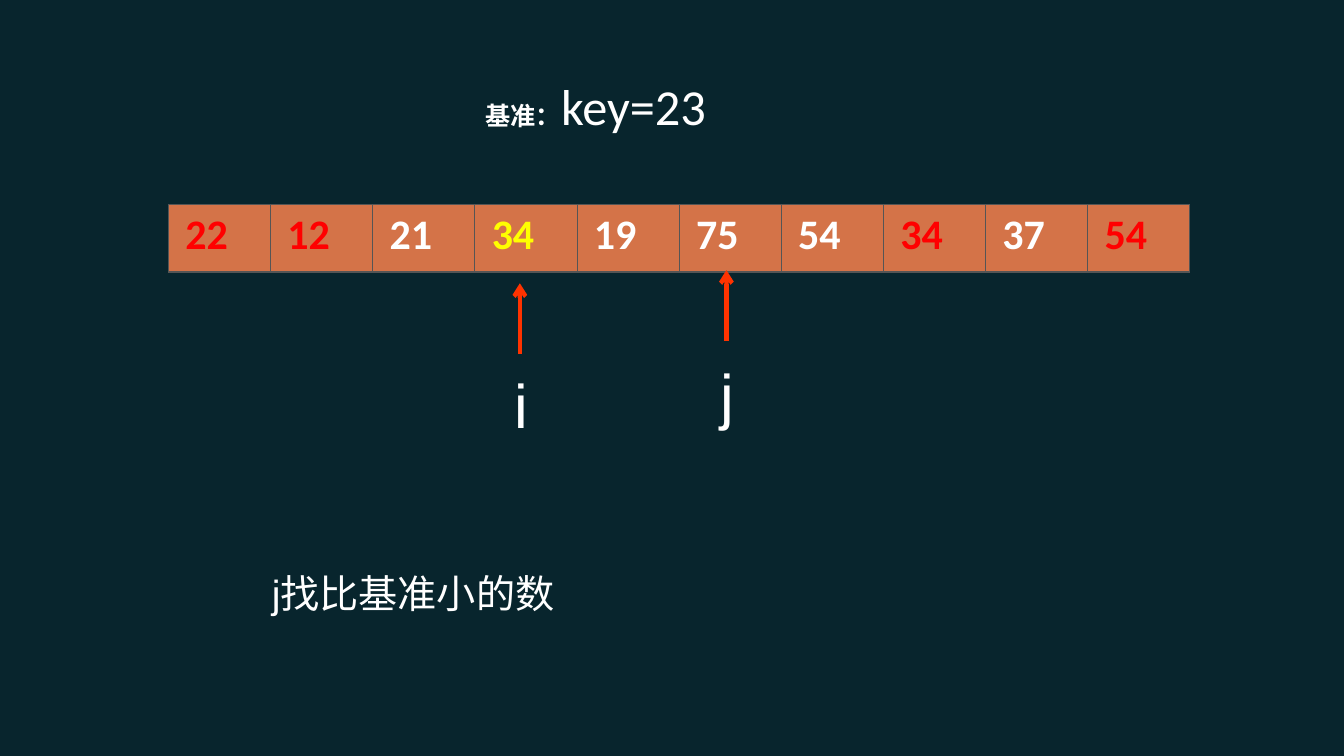
from dataclasses import dataclass

from lxml import etree
from pptx import Presentation
from pptx.dml.color import RGBColor
from pptx.enum.shapes import MSO_CONNECTOR
from pptx.enum.text import MSO_ANCHOR, MSO_AUTO_SIZE, PP_ALIGN
from pptx.oxml.ns import qn
from pptx.util import Inches, Pt

STRAIGHT = MSO_CONNECTOR.STRAIGHT
TOP = MSO_ANCHOR.TOP
LEFT = PP_ALIGN.LEFT
NO_AUTOFIT = MSO_AUTO_SIZE.NONE

NAVY = RGBColor(0x08, 0x25, 0x2D)
ORANGE = RGBColor(0xD4, 0x73, 0x48)
GRAY = RGBColor(0x55, 0x55, 0x55)
RED = RGBColor(0xFF, 0x00, 0x00)
ARROW_RED = RGBColor(0xFF, 0x33, 0x00)
YELLOW = RGBColor(0xFF, 0xFF, 0x00)
WHITE = RGBColor(0xFF, 0xFF, 0xFF)

LATIN = "Calibri"
SANS = "Arial"
CHINESE = "Noto Sans CJK SC"

SLIDE_WIDTH = Inches(13.34)
SLIDE_HEIGHT = Inches(7.5)
GRID = 100
ARROW_ROWS = 9.33
LABEL_COLUMNS = 2.32
LABEL_ROWS = 11.2
BORDERS = {"a:lnL": 0.45, "a:lnR": 0.45, "a:lnT": 0.45, "a:lnB": 1.47}


@dataclass(frozen=True)
class Area:
    """A rectangle in grid columns and rows."""
    column: float
    row: float
    columns: float
    rows: float

    def lengths(self) -> tuple[int, int, int, int]:
        """Return left, top, width and height."""
        return (across(self.column), down(self.row),
                across(self.columns), down(self.rows))


@dataclass(frozen=True)
class Item:
    """One number of the array and its colour."""
    value: int
    color: RGBColor


@dataclass(frozen=True)
class Pointer:
    """An index name with the arrow above it."""
    name: str
    column: float
    tip_row: float
    label_row: float


HEADING_AREA = Area(35.38, 9.33, 27.36, 9.33)
ARRAY_AREA = Area(12.52, 27.07, 76.01, 8.93)
NOTE_AREA = Area(19.49, 74.67, 24.59, 7.6)
ITEMS = [
    Item(22, RED), Item(12, RED), Item(21, WHITE), Item(34, YELLOW),
    Item(19, WHITE), Item(75, WHITE), Item(54, WHITE), Item(34, RED),
    Item(37, WHITE), Item(54, RED),
]
POINTERS = [Pointer("i", 38.68, 37.47, 47.87), Pointer("j", 54.05, 35.73, 46.53)]


def across(columns: float) -> int:
    """Convert grid columns to a length."""
    return round(SLIDE_WIDTH * columns / GRID)


def down(rows: float) -> int:
    """Convert grid rows to a length."""
    return round(SLIDE_HEIGHT * rows / GRID)


def style_font(font, name: str, size: float, color: RGBColor, bold: bool = False) -> None:
    """Set the face, size, weight and colour of a font."""
    font.name = name
    font.size = Pt(size)
    font.bold = bold
    font.color.rgb = color


def set_chinese_font(span) -> None:
    """Give a span its East Asian typeface."""
    properties = span.font._element.get_or_add_rPr() if hasattr(
        span.font._element, "get_or_add_rPr") else span.font._element
    etree.SubElement(properties, qn("a:ea"), typeface=CHINESE)


def add_heading(page) -> None:
    """Fill the title with the pivot value."""
    title = page.shapes.title
    title.left, title.top, title.width, title.height = HEADING_AREA.lengths()
    frame = title.text_frame
    frame.auto_size = NO_AUTOFIT
    frame.vertical_anchor = TOP
    para = frame.paragraphs[0]
    para.alignment = LEFT
    label, key = para.add_run(), para.add_run()
    label.text, key.text = "基准：", "key=23"
    style_font(label.font, CHINESE, 18, WHITE, bold=True)
    set_chinese_font(label)
    style_font(key.font, LATIN, 36, WHITE)


def add_text(page, area: Area, text: str, size: float, wrap: bool) -> None:
    """Add a white text box."""
    box = page.shapes.add_textbox(*area.lengths())
    box.text_frame.word_wrap = wrap
    para = box.text_frame.paragraphs[0]
    style_font(para.font, SANS, size, WHITE)
    para.add_run().text = text


def add_borders(cell) -> None:
    """Draw the four gray borders of a cell."""
    properties = cell._tc.get_or_add_tcPr()
    for tag, width in BORDERS.items():
        line = etree.SubElement(properties, qn(tag), w=str(Pt(width)))
        fill = etree.SubElement(line, qn("a:solidFill"))
        etree.SubElement(fill, qn("a:srgbClr"), val=str(GRAY))


def add_array(page) -> None:
    """Add the array as a table of one row."""
    table = page.shapes.add_table(1, len(ITEMS), *ARRAY_AREA.lengths()).table
    for cell, item in zip(table.rows[0].cells, ITEMS):
        add_borders(cell)
        cell.fill.solid()
        cell.fill.fore_color.rgb = ORANGE
        cell.margin_left = cell.margin_right = Inches(0.17)
        para = cell.text_frame.paragraphs[0]
        style_font(para.font, LATIN, 30, item.color, bold=True)
        para.add_run().text = str(item.value)


def add_pointer(page, pointer: Pointer) -> None:
    """Add an upward arrow and its index name."""
    x = across(pointer.column)
    arrow = page.shapes.add_connector(
        STRAIGHT, x, down(pointer.tip_row + ARROW_ROWS), x, down(pointer.tip_row))
    arrow.line.color.rgb = ARROW_RED
    arrow.line.width = Pt(3)
    etree.SubElement(arrow.line._get_or_add_ln(), qn("a:tailEnd"), type="arrow")
    etree.SubElement(arrow._element.spPr, qn("a:effectLst"))
    label_area = Area(pointer.column - LABEL_COLUMNS / 2, pointer.label_row,
                      LABEL_COLUMNS, LABEL_ROWS)
    add_text(page, label_area, pointer.name, 44, wrap=False)


def main() -> None:
    """Build and save the deck."""
    deck = Presentation()
    deck.slide_width, deck.slide_height = SLIDE_WIDTH, SLIDE_HEIGHT
    page = deck.slides.add_slide(deck.slide_layouts.get_by_name("Title Only"))
    page.background.fill.solid()
    page.background.fill.fore_color.rgb = NAVY
    add_heading(page)
    add_array(page)
    for pointer in POINTERS:
        add_pointer(page, pointer)
    add_text(page, NOTE_AREA, "j找比基准小的数", 28, wrap=True)
    deck.save("out.pptx")


if __name__ == "__main__":
    main()
